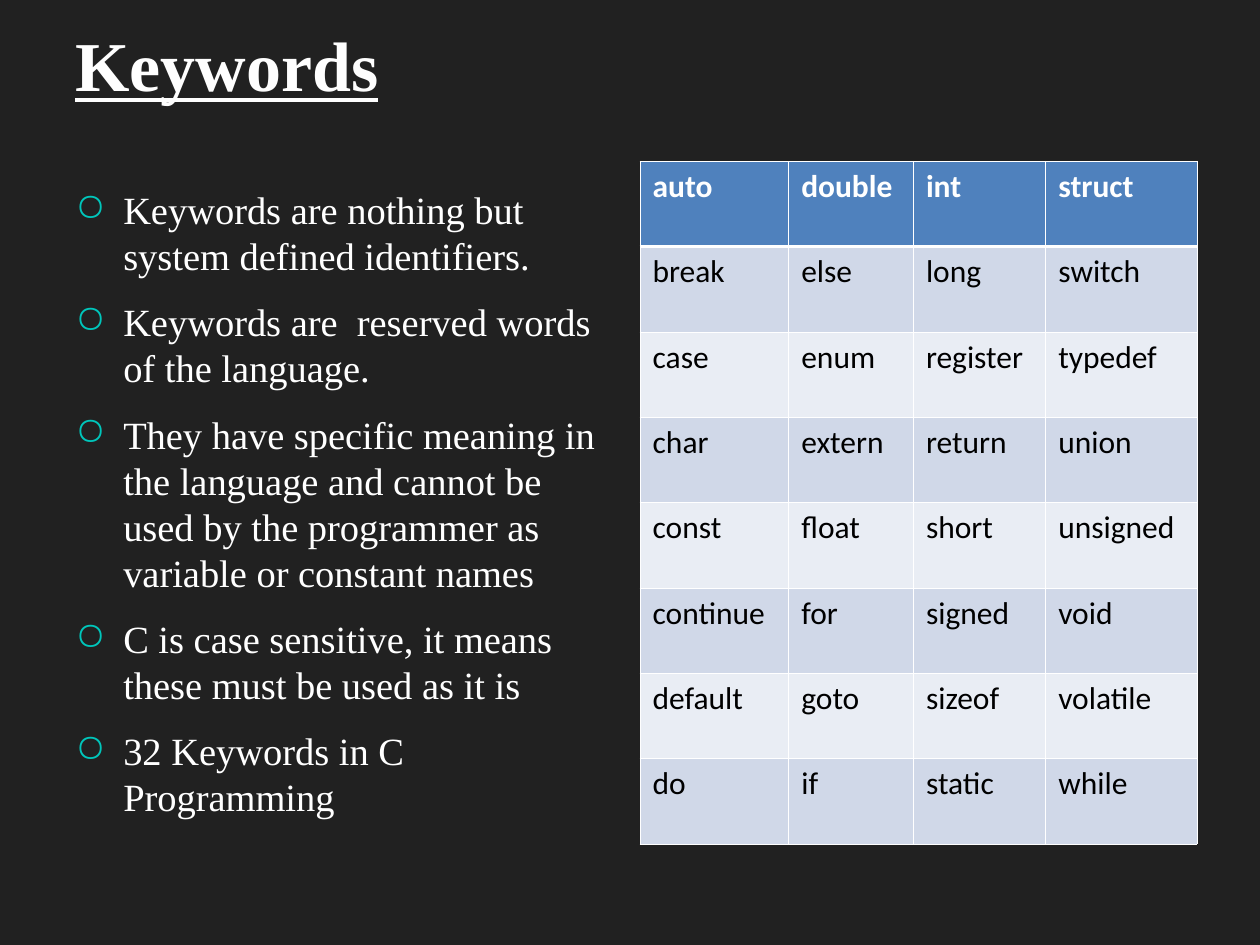
"""Build a slide that lists the keywords of the C language."""
from dataclasses import dataclass

import pptx
import pptx.dml.color
import pptx.enum.text
import pptx.oxml
import pptx.oxml.ns
import pptx.presentation
import pptx.shapes.autoshape
import pptx.slide
import pptx.table
import pptx.text.text
import pptx.util

Inches = pptx.util.Inches
Pt = pptx.util.Pt
RGBColor = pptx.dml.color.RGBColor
Anchor = pptx.enum.text.MSO_ANCHOR

BACKGROUND = RGBColor(0x21, 0x21, 0x21)
TITLE_WHITE = RGBColor(0xFE, 0xFE, 0xFE)
WHITE = RGBColor(0xFF, 0xFF, 0xFF)
BLACK = RGBColor(0x00, 0x00, 0x00)
TEAL = RGBColor(0x00, 0xC6, 0xBB)
HEADER_BLUE = RGBColor(0x4F, 0x81, 0xBD)
BAND_COLORS = (RGBColor(0xE9, 0xED, 0xF4), RGBColor(0xD0, 0xD8, 0xE8))

THIN_BORDER = Pt(0.45)
HEADER_BORDER = Pt(1.47)


@dataclass(frozen=True)
class Box:
    left: float
    top: float
    width: float
    height: float

    def lengths(self) -> tuple:
        return tuple(map(Inches, (self.left, self.top, self.width, self.height)))


@dataclass(frozen=True)
class TextStyle:
    name: str
    size: float
    color: RGBColor
    bold: bool = False
    underline: bool = False


TITLE_BOX = Box(0.5, 0.25, 9, 0.64)
BULLET_BOX = Box(0.5, 1.28, 4.42, 5.42)
TABLE_BOX = Box(5.08, 1.28, 4.42, 5.42)

TITLE_STYLE = TextStyle("Times New Roman", 40, TITLE_WHITE, bold=True, underline=True)
BULLET_STYLE = TextStyle("Times New Roman", 22, WHITE)
HEADER_STYLE = TextStyle("Calibri", 18, WHITE, bold=True)
CELL_STYLE = TextStyle("Calibri", 18, BLACK)

BULLETS = (
    "Keywords are nothing but system defined identifiers.",
    "Keywords are  reserved words of the language.",
    "They have specific meaning in the language and cannot be used by the "
    "programmer as variable or constant names",
    "C is case sensitive, it means these must be used as it is",
    "32 Keywords in C Programming",
)
COLUMN_WIDTHS = (1.18, 0.99, 1.05, 1.2)
KEYWORDS = (
    ("auto", "double", "int", "struct"),
    ("break", "else", "long", "switch"),
    ("case", "enum", "register", "typedef"),
    ("char", "extern", "return", "union"),
    ("const", "float", "short", "unsigned"),
    ("continue", "for", "signed", "void"),
    ("default", "goto", "sizeof", "volatile"),
    ("do", "if", "static", "while"),
)


def format_runs(paragraph: pptx.text.text._Paragraph, style: TextStyle) -> None:
    for run in paragraph.runs:
        run.font.name = style.name
        run.font.size = Pt(style.size)
        run.font.bold = style.bold
        run.font.underline = style.underline
        run.font.color.rgb = style.color


def add_text(
    slide: pptx.slide.Slide, box: Box, text: str, style: TextStyle, anchor: Anchor
) -> pptx.shapes.autoshape.Shape:
    shape = slide.shapes.add_textbox(*box.lengths())
    text_frame = shape.text_frame
    text_frame.word_wrap = True
    text_frame.vertical_anchor = anchor
    text_frame.text = text
    for paragraph in text_frame.paragraphs:
        format_runs(paragraph, style)
    return shape


def add_bullet(paragraph: pptx.text.text._Paragraph) -> None:
    namespace = pptx.oxml.ns.nsdecls("a")
    properties = paragraph._p.get_or_add_pPr()
    properties.set("marL", str(Inches(0.38)))
    properties.set("indent", str(Inches(-0.38)))
    for xml in (
        f'<a:buClr {namespace}><a:srgbClr val="{TEAL}"/></a:buClr>',
        f'<a:buChar {namespace} char="○"/>',
    ):
        properties.append(pptx.oxml.parse_xml(xml))


def add_bullet_list(slide: pptx.slide.Slide) -> None:
    shape = add_text(slide, BULLET_BOX, "\n".join(BULLETS), BULLET_STYLE, Anchor.MIDDLE)
    for index, paragraph in enumerate(shape.text_frame.paragraphs):
        add_bullet(paragraph)
        paragraph.line_spacing = Pt(26.3)
        paragraph.space_before = Pt(5.5 if index else 0)
        paragraph.space_after = Pt(6)


def set_borders(cell: pptx.table._Cell, row_index: int) -> None:
    widths = {
        "lnL": THIN_BORDER,
        "lnR": THIN_BORDER,
        "lnT": HEADER_BORDER if row_index == 1 else THIN_BORDER,
        "lnB": HEADER_BORDER if row_index == 0 else THIN_BORDER,
    }
    properties = cell._tc.get_or_add_tcPr()
    for position, (tag, width) in enumerate(widths.items()):
        border = pptx.oxml.parse_xml(
            f'<a:{tag} {pptx.oxml.ns.nsdecls("a")} w="{width}"><a:solidFill>'
            f'<a:srgbClr val="{WHITE}"/></a:solidFill></a:{tag}>'
        )
        properties.insert(position, border)


def add_keyword_table(slide: pptx.slide.Slide) -> None:
    table = slide.shapes.add_table(
        len(KEYWORDS), len(COLUMN_WIDTHS), *TABLE_BOX.lengths()
    ).table
    for column, width in zip(table.columns, COLUMN_WIDTHS):
        column.width = Inches(width)
    for row_index, keywords in enumerate(KEYWORDS):
        is_header = row_index == 0
        for column_index, keyword in enumerate(keywords):
            cell = table.cell(row_index, column_index)
            cell.text_frame.text = keyword
            format_runs(
                cell.text_frame.paragraphs[0],
                HEADER_STYLE if is_header else CELL_STYLE,
            )
            cell.fill.solid()
            cell.fill.fore_color.rgb = (
                HEADER_BLUE if is_header else BAND_COLORS[row_index % 2]
            )
            set_borders(cell, row_index)


def main() -> None:
    presentation = pptx.Presentation()
    presentation.slide_width = Inches(10)
    presentation.slide_height = Inches(7.5)
    slide = presentation.slides.add_slide(presentation.slide_layouts[6])
    slide.background.fill.solid()
    slide.background.fill.fore_color.rgb = BACKGROUND
    add_text(slide, TITLE_BOX, "Keywords", TITLE_STYLE, Anchor.BOTTOM)
    add_bullet_list(slide)
    add_keyword_table(slide)
    presentation.save("out.pptx")


if __name__ == "__main__":
    main()
